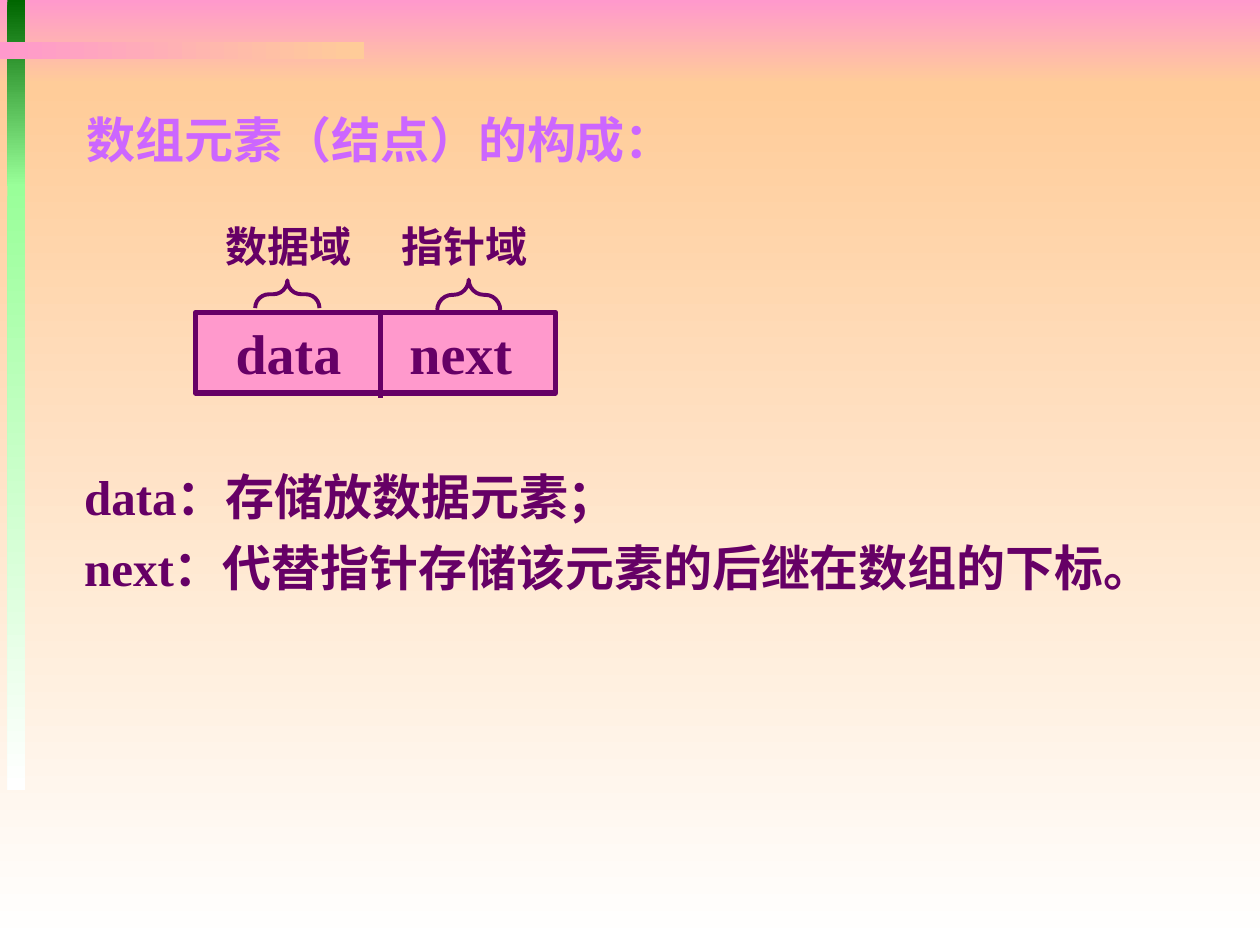
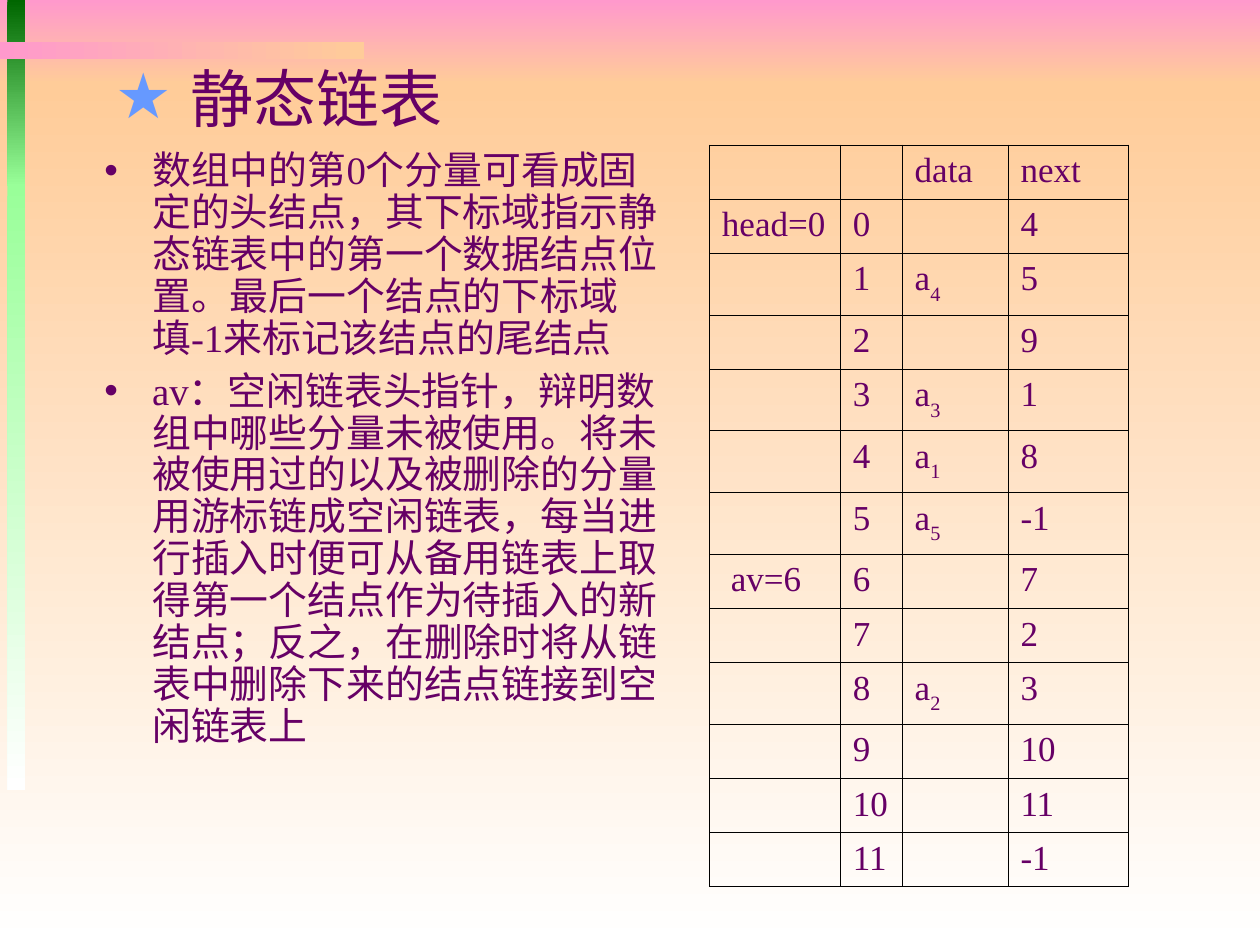
"""Builds two slides on the static linked list: its node layout and an example array."""
from dataclasses import dataclass
from typing import Optional

import lxml.etree
import pptx
import pptx.dml.color
import pptx.enum.shapes
import pptx.enum.text
import pptx.oxml.ns
import pptx.shapes.base
import pptx.slide
import pptx.text.text
import pptx.util

Inches = pptx.util.Inches
Pt = pptx.util.Pt
Shapes = pptx.enum.shapes.MSO_SHAPE

PLUM, PINK, PEACH, WHITE = "660066", "FF99CC", "FFCC99", "FFFFFF"
LILAC, STAR_BLUE, BLACK = "CC66FF", "6699FF", "000000"
DARK_GREEN, LIGHT_GREEN = "006600", "99FF99"
SERIF, SANS = "Times New Roman", "Arial"


@dataclass(frozen=True)
class Box:
    left: float
    top: float
    width: float
    height: float

    def lengths(self) -> tuple:
        """Return the four sides of the box as lengths."""
        return tuple(Inches(v) for v in (self.left, self.top, self.width, self.height))


@dataclass(frozen=True)
class Band:
    box: Box
    start: str
    end: str
    angle: int = 270


@dataclass(frozen=True)
class Style:
    size: float
    color: str = PLUM
    bold: bool = False
    font: str = SERIF


@dataclass(frozen=True)
class Bullet:
    char: str
    color: str
    indent: float


@dataclass(frozen=True)
class TextBlock:
    box: Box
    paragraphs: tuple[str, ...]
    style: Style
    line_spacing: Optional[float] = None
    gap: float = 0
    bullet: Optional[Bullet] = None
    wrap: bool = True


@dataclass(frozen=True)
class ListRow:
    pointer: str
    index: str
    data: str
    next: str
    subscript: str = ""


BANDS = (
    Band(Box(0, 0, 10, 0.67), PINK, PEACH),
    Band(Box(0, 0.67, 10, 6.83), PEACH, WHITE),
    Band(Box(0.06, 0, 0.14, 1.48), DARK_GREEN, LIGHT_GREEN),
    Band(Box(0.06, 1.46, 0.14, 4.81), LIGHT_GREEN, WHITE),
    Band(Box(0, 0.33, 2.89, 0.14), PINK, PEACH, 0),
)

HEADING = Style(28, LILAC, True)
DEFINITION = Style(28, bold=True)
FIELD_LABEL = Style(24, bold=True)
FIELD_NAME = Style(32, bold=True)
CELL = Style(20)

NODE_TEXTS = (
    TextBlock(Box(0.57, 3.56, 9.27, 1.22),
              ("data：存储放数据元素；", "next：代替指针存储该元素的后继在数组的下标。"),
              DEFINITION, line_spacing=1.2),
    TextBlock(Box(0.59, 0.82, 4.86, 0.57), ("数组元素（结点）的构成：",), HEADING, wrap=False),
    TextBlock(Box(1.69, 1.7, 1.21, 0.5), ("数据域",), FIELD_LABEL),
    TextBlock(Box(3.09, 1.7, 1.21, 0.5), ("指针域",), FIELD_LABEL),
)
NODE = Box(1.55, 2.48, 2.86, 0.64)
BRACES = (Box(2.17, 2.08, 0.22, 0.51), Box(3.6, 2.09, 0.24, 0.5))

LIST_TEXTS = (
    TextBlock(Box(0.82, 0.42, 8.15, 1.45), ("静态链表",), Style(36, font=SANS),
              bullet=Bullet("★", STAR_BLUE, 0.59)),
    TextBlock(Box(0.73, 1.15, 4.69, 5.91), (
        "数组中的第0个分量可看成固定的头结点，其下标域指示静态链表中的第一个数据结点位置。"
        "最后一个结点的下标域填-1来标记该结点的尾结点",
        "av：空闲链表头指针，辩明数组中哪些分量未被使用。将未被使用过的以及被删除的分量"
        "用游标链成空闲链表，每当进行插入时便可从备用链表上取得第一个结点作为待插入的新结点；"
        "反之，在删除时将从链表中删除下来的结点链接到空闲链表上",
    ), Style(22.2), line_spacing=0.9, gap=6, bullet=Bullet("•", PLUM, 0.38)),
)

NEXT_INDEXES = (4, 5, 9, 1, 8, -1, 7, 2, 3, 10, 11, -1)
SUBSCRIPTS = {1: "4", 3: "3", 4: "1", 5: "5", 8: "2"}
POINTERS = {0: "head=0", 6: "av=6"}
LIST_ROWS = (ListRow("", "", "data", "next"),) + tuple(
    ListRow(POINTERS.get(i, ""), str(i), "a" if i in SUBSCRIPTS else "",
            str(successor), SUBSCRIPTS.get(i, ""))
    for i, successor in enumerate(NEXT_INDEXES))
LIST_COLUMNS = (1.04, 0.49, 0.84, 0.96)
PLAIN_ROW, SUBSCRIPT_ROW = 0.43, 0.49


def rgb(color: str) -> pptx.dml.color.RGBColor:
    """Turn a hex string into a colour."""
    return pptx.dml.color.RGBColor.from_string(color)


def child(parent: lxml.etree._Element, tag: str, **attributes: str) -> lxml.etree._Element:
    """Append an element in the drawing namespace."""
    return lxml.etree.SubElement(parent, pptx.oxml.ns.qn(f"a:{tag}"), attributes)


def add_run(paragraph: pptx.text.text._Paragraph, text: str, style: Style) -> pptx.text.text._Run:
    """Append one styled run."""
    run = paragraph.add_run()
    run.text = text
    run.font.name = style.font
    run.font.size = Pt(style.size)
    run.font.bold = style.bold
    run.font.color.rgb = rgb(style.color)
    return run


def add_bullet(paragraph: pptx.text.text._Paragraph, bullet: Bullet) -> None:
    """Give a paragraph a hanging bullet."""
    properties = paragraph._p.get_or_add_pPr()
    properties.set("marL", str(Inches(bullet.indent)))
    properties.set("indent", str(-Inches(bullet.indent)))
    child(child(properties, "buClr"), "srgbClr", val=bullet.color)
    child(properties, "buFont", typeface=SANS)
    child(properties, "buChar", char=bullet.char)


def add_text(slide: pptx.slide.Slide, block: TextBlock) -> None:
    """Draw a text block, one paragraph per entry."""
    frame = slide.shapes.add_textbox(*block.box.lengths()).text_frame
    frame.word_wrap = block.wrap
    for position, text in enumerate(block.paragraphs):
        paragraph = frame.add_paragraph() if position else frame.paragraphs[0]
        if block.bullet:
            add_bullet(paragraph, block.bullet)
        if block.line_spacing:
            paragraph.line_spacing = block.line_spacing
        if position and block.gap:
            paragraph.space_before = Pt(block.gap)
        add_run(paragraph, text, block.style)


def add_band(slide: pptx.slide.Slide, band: Band) -> None:
    """Draw one gradient band."""
    bar = slide.shapes.add_shape(Shapes.RECTANGLE, *band.box.lengths())
    bar.shadow.inherit = False
    bar.line.fill.background()
    bar.fill.gradient()
    bar.fill.gradient_angle = band.angle
    for stop, color in zip(bar.fill.gradient_stops, (band.start, band.end)):
        stop.color.rgb = rgb(color)


def outline(shape: pptx.shapes.base.BaseShape, width: float) -> None:
    """Give a shape or connector a plum line."""
    shape.line.color.rgb = rgb(PLUM)
    shape.line.width = Pt(width)


def add_node(slide: pptx.slide.Slide) -> None:
    """Draw the two-field node with its divider."""
    node = slide.shapes.add_shape(Shapes.RECTANGLE, *NODE.lengths())
    node.shadow.inherit = False
    node.fill.solid()
    node.fill.fore_color.rgb = rgb(PINK)
    outline(node, 3)
    frame = node.text_frame
    frame.margin_left = Inches(0.32)
    frame.vertical_anchor = pptx.enum.text.MSO_ANCHOR.TOP
    fields = frame.paragraphs[0]
    fields.alignment = pptx.enum.text.PP_ALIGN.LEFT
    tabs = child(fields._p.get_or_add_pPr(), "tabLst")
    child(tabs, "tab", pos=str(Inches(1.38)), algn="l")
    add_run(fields, "data\tnext", FIELD_NAME)

    divider = slide.shapes.add_connector(
        pptx.enum.shapes.MSO_CONNECTOR.STRAIGHT,
        Inches(3.02), Inches(NODE.top), Inches(3.02), Inches(3.16))
    outline(divider, 3)
    child(divider._element.spPr, "effectLst")


def add_brace(slide: pptx.slide.Slide, box: Box) -> None:
    """Draw a brace opening downwards over a field."""
    brace = slide.shapes.add_shape(Shapes.LEFT_BRACE, *box.lengths())
    brace.shadow.inherit = False
    brace.rotation = 90
    brace.adjustments[0] = 0.5
    brace.fill.background()
    outline(brace, 2.25)


def add_list_table(slide: pptx.slide.Slide) -> None:
    """Draw the array that holds the static list."""
    heights = [SUBSCRIPT_ROW if row.subscript else PLAIN_ROW for row in LIST_ROWS]
    box = Box(5.63, 1.15, sum(LIST_COLUMNS), sum(heights))
    table = slide.shapes.add_table(len(LIST_ROWS), len(LIST_COLUMNS), *box.lengths()).table
    table.first_row = table.horz_banding = False
    for column, width in zip(table.columns, LIST_COLUMNS):
        column.width = Inches(width)
    for table_row, height, row in zip(table.rows, heights, LIST_ROWS):
        table_row.height = Inches(height)
        for cell, text in zip(table_row.cells, (row.pointer, row.index, row.data, row.next)):
            properties = cell._tc.get_or_add_tcPr()
            for side in ("lnL", "lnR", "lnT", "lnB"):
                border = child(properties, side, w=str(Pt(0.45)))
                child(child(border, "solidFill"), "srgbClr", val=BLACK)
            cell.fill.background()
            if text:
                add_run(cell.text_frame.paragraphs[0], text, CELL)
        if row.pointer == POINTERS[6]:
            table_row.cells[0].margin_left = Inches(0.17)
        if row.subscript:
            mark = add_run(table_row.cells[2].text_frame.paragraphs[0], row.subscript, CELL)
            mark.font._element.set("baseline", "-30000")


def add_slide(deck: pptx.presentation.Presentation) -> pptx.slide.Slide:
    """Add a blank slide with the shared bands."""
    slide = deck.slides.add_slide(deck.slide_layouts[6])
    for band in BANDS:
        add_band(slide, band)
    return slide


def main() -> None:
    """Build and save the deck."""
    deck = pptx.Presentation()
    deck.slide_width, deck.slide_height = Inches(10), Inches(7.5)

    node_slide = add_slide(deck)
    add_node(node_slide)
    for brace in BRACES:
        add_brace(node_slide, brace)
    for block in NODE_TEXTS:
        add_text(node_slide, block)

    list_slide = add_slide(deck)
    add_list_table(list_slide)
    for block in LIST_TEXTS:
        add_text(list_slide, block)

    deck.save("out.pptx")


if __name__ == "__main__":
    main()
